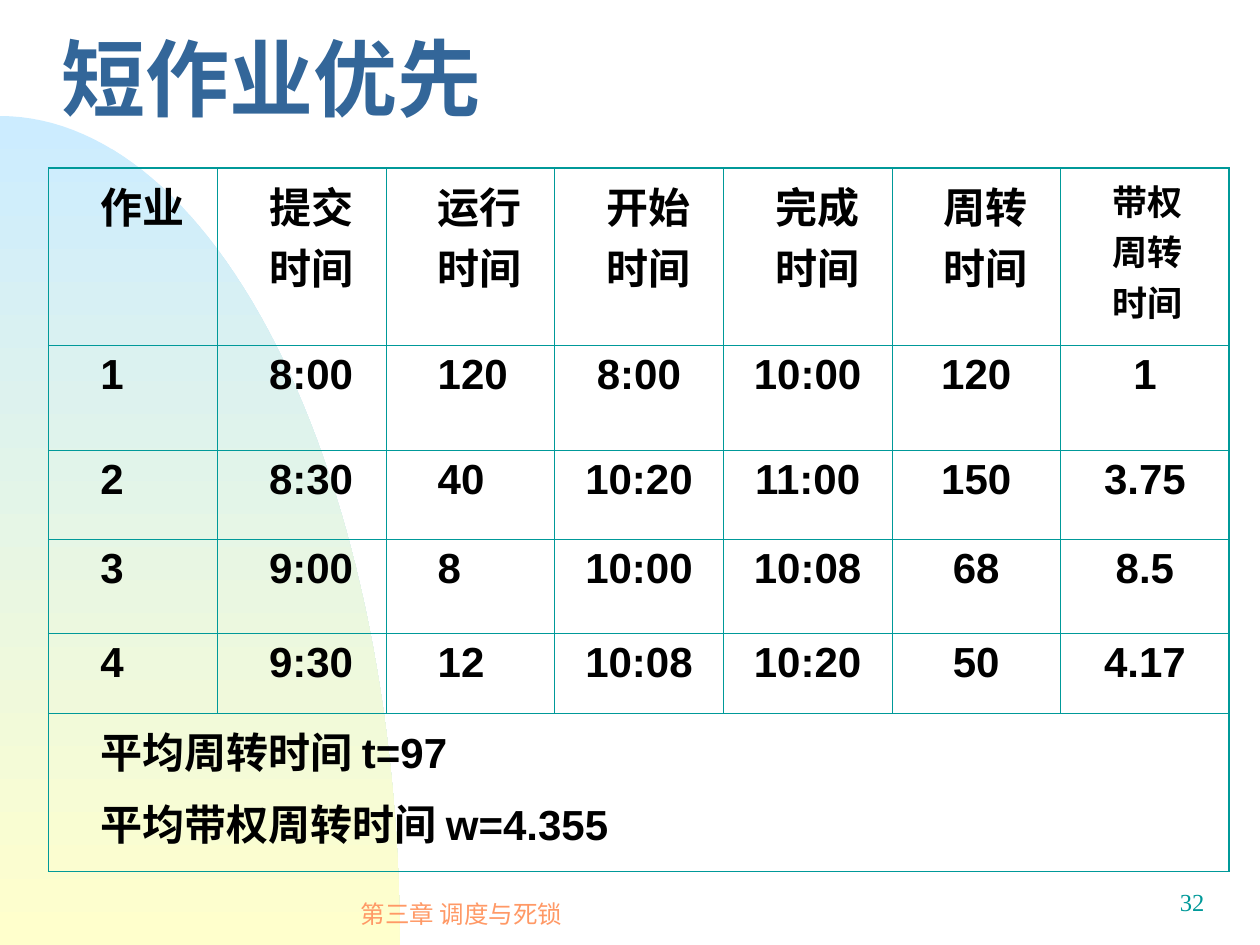
from dataclasses import dataclass
from math import cos, pi, sin

from lxml.etree import SubElement
from pptx import Presentation
from pptx.dml.color import RGBColor
from pptx.enum.text import MSO_ANCHOR, PP_ALIGN
from pptx.oxml.ns import qn
from pptx.util import Cm, Pt

COLORS = {
    "sky": "CCECFF",
    "cream": "FFFFCC",
    "title": "336699",
    "chapter": "FF9966",
    "teal": "009999",
    "ink": "000000",
}
SLIDE_WIDTH, SLIDE_HEIGHT = 25.4, 19.05
DOME_WIDTH, DOME_HEIGHT, DOME_STEPS = 8.06, 16.71, 60
COLUMN_WIDTH = 3.4
ROW_HEIGHTS = (3.57, 2.12, 1.79, 1.89, 1.63, 3.18)
TEXT_INDENT = 0.79
LEFT_COLUMNS = 3
OUTER_LINE, INNER_LINE = 1.08, 0.45

SCHEDULE = (
    ("作业", "提交时间", "运行时间", "开始时间", "完成时间", "周转时间", "带权周转时间"),
    ("1", "8:00", "120", "8:00", "10:00", "120", "1"),
    ("2", "8:30", "40", "10:20", "11:00", "150", "3.75"),
    ("3", "9:00", "8", "10:00", "10:08", "68", "8.5"),
    ("4", "9:30", "12", "10:08", "10:20", "50", "4.17"),
)
AVERAGES = ("平均周转时间 t=97", "平均带权周转时间 w=4.355")


@dataclass(frozen=True)
class Label:
    text: str
    box: tuple[float, float, float, float]
    font: dict
    color: str
    align: PP_ALIGN = PP_ALIGN.LEFT
    anchor: MSO_ANCHOR = MSO_ANCHOR.MIDDLE
    wrap: bool = True
    line_spacing: float = 1.0


LABELS = (
    Label("第三章 调度与死锁", (5.28, 17.78, 8.05, 1.27),
          {"name": "Arial", "size": Pt(14)}, "chapter",
          align=PP_ALIGN.CENTER, wrap=False),
    Label("32", (19.25, 17.75, 5.28, 1.27),
          {"name": "Times New Roman", "size": Pt(14)}, "teal",
          align=PP_ALIGN.RIGHT, anchor=MSO_ANCHOR.TOP),
    Label("短作业优先", (1, 0.43, 23.98, 2.74),
          {"name": "Arial Narrow", "size": Pt(48), "bold": True}, "title",
          line_spacing=0.7),
)


def rgb(color: str) -> RGBColor:
    return RGBColor.from_string(COLORS[color])


def write(paragraph, text: str, font: dict, color: str) -> None:
    run = paragraph.add_run()
    run.text = text
    for attribute, value in font.items():
        setattr(run.font, attribute, value)
    run.font.color.rgb = rgb(color)


def draw_dome(slide) -> None:
    """Draw a quarter ellipse rising from the lower left corner."""
    angles = [step * pi / 2 / DOME_STEPS for step in range(DOME_STEPS + 1)]
    arc = [(Cm(DOME_WIDTH * sin(angle)),
            Cm(SLIDE_HEIGHT - DOME_HEIGHT * cos(angle))) for angle in angles]
    outline = slide.shapes.build_freeform(*arc[0])
    outline.add_line_segments(arc[1:] + [(0, Cm(SLIDE_HEIGHT))], close=True)
    dome = outline.convert_to_shape()
    dome.shadow.inherit = False
    dome.line.fill.background()
    dome.fill.gradient()
    dome.fill.gradient_angle = 270
    for stop, color in zip(dome.fill.gradient_stops, ("sky", "cream")):
        stop.color.rgb = rgb(color)


def draw_label(slide, label: Label) -> None:
    frame = slide.shapes.add_textbox(*map(Cm, label.box)).text_frame
    frame.word_wrap = label.wrap
    frame.vertical_anchor = label.anchor
    paragraph = frame.paragraphs[0]
    paragraph.alignment = label.align
    paragraph.line_spacing = label.line_spacing
    write(paragraph, label.text, label.font, label.color)


def set_borders(cell, widths: dict[str, float]) -> None:
    properties = cell._tc.get_or_add_tcPr()
    for side, width in widths.items():
        line = SubElement(properties, qn(f"a:ln{side}"), w=str(Pt(width)))
        fill = SubElement(line, qn("a:solidFill"))
        SubElement(fill, qn("a:srgbClr"), val=COLORS["teal"])


def fill_cell(cell, lines: tuple[str, ...], size: int, centered: bool) -> None:
    frame = cell.text_frame
    for index, line in enumerate(lines):
        paragraph = frame.add_paragraph() if index else frame.paragraphs[0]
        if index:
            paragraph.space_before = Pt(6)
        paragraph.alignment = PP_ALIGN.CENTER if centered else PP_ALIGN.LEFT
        indent = paragraph._p.get_or_add_pPr()
        indent.set("marL", str(Cm(TEXT_INDENT)))
        indent.set("indent", str(Cm(-TEXT_INDENT if centered else 0)))
        write(paragraph, line,
              {"name": "Arial", "size": Pt(size), "bold": True}, "ink")


def draw_schedule(slide) -> None:
    row_count, column_count = len(ROW_HEIGHTS), len(SCHEDULE[0])
    table = slide.shapes.add_table(
        row_count, column_count, Cm(0.98), Cm(3.39),
        Cm(COLUMN_WIDTH * column_count), Cm(sum(ROW_HEIGHTS))).table
    table.first_row = table.horz_banding = False
    for column in table.columns:
        column.width = Cm(COLUMN_WIDTH)
    for row, height in zip(table.rows, ROW_HEIGHTS):
        row.height = Cm(height)
    last_row, last_column = row_count - 1, column_count - 1
    table.cell(last_row, 0).merge(table.cell(last_row, last_column))

    for r in range(row_count):
        for c in range(column_count):
            cell = table.cell(r, c)
            if cell.is_spanned:
                continue
            at_edge = {
                "L": c == 0,
                "R": c == last_column or cell.is_merge_origin,
                "T": r == 0,
                "B": r == last_row,
            }
            set_borders(cell, {side: OUTER_LINE if edge else INNER_LINE
                               for side, edge in at_edge.items()})
            cell.fill.background()
            lines = AVERAGES if r == last_row else (SCHEDULE[r][c],)
            size = 20 if r == 0 and c == last_column else 24
            fill_cell(cell, lines, size, r > 0 and c >= LEFT_COLUMNS)


def main() -> None:
    presentation = Presentation()
    presentation.slide_width = Cm(SLIDE_WIDTH)
    presentation.slide_height = Cm(SLIDE_HEIGHT)
    slide = presentation.slides.add_slide(presentation.slide_layouts[6])
    draw_dome(slide)
    for label in LABELS:
        draw_label(slide, label)
    draw_schedule(slide)
    presentation.save("out.pptx")


if __name__ == "__main__":
    main()
